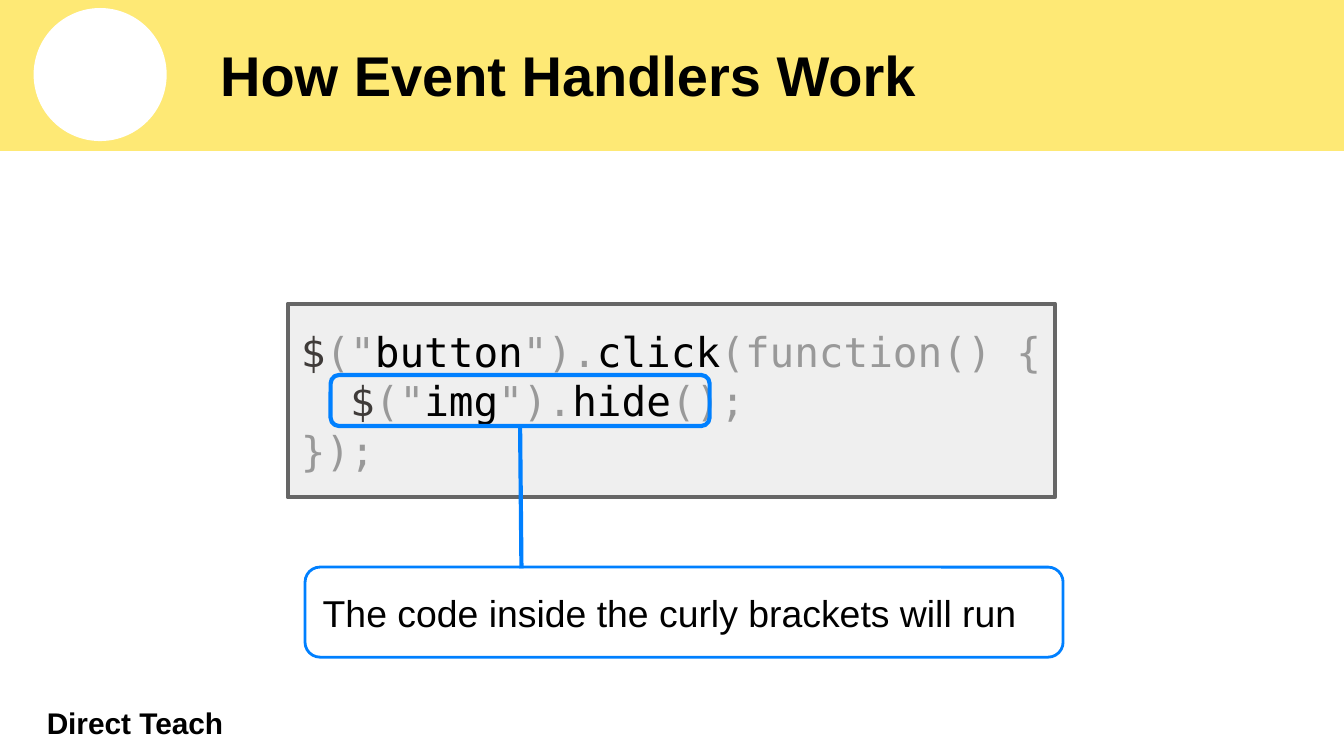
from pptx import Presentation, util as u
from pptx.dml.color import RGBColor
from pptx.enum import shapes, text
from pptx.oxml import ns
from lxml import etree

WIDTH = u.Inches(10)
HEIGHT = WIDTH * 9 // 16
BLUE, YELLOW, WHITE, BLACK = "0080FF", "FEE975", "FFFFFF", "000000"
DARK, GREY, PALE = "3F3B39", "999999", "CCCCCC"
SANS, MONO = "Arial", "DejaVu Sans Mono"

TITLE = [[("How Event Handlers Work", BLACK)]]
FOOTER = [[("Direct Teach", BLACK)]]
CALLOUT = [[("The code inside the curly brackets will run", BLACK)]]
CODE = [
    [("$", DARK), ('("', GREY), ("button", BLACK), ('").', GREY),
     ("click", BLACK), ("(function() {", GREY)],
    [("  ", PALE), ("$", DARK), ('("', GREY), ("img", BLACK), ('").', GREY),
     ("hide", BLACK), ("();", GREY)],
    [("});", GREY)],
]

deck = Presentation()
deck.slide_width, deck.slide_height = WIDTH, HEIGHT
page = deck.slides.add_slide(deck.slide_layouts[6])
kinds = shapes.MSO_SHAPE


def color(value):
    return RGBColor.from_string(value)


def add_box(kind, area, fill=None, line=None, width=0.75):
    box = page.shapes.add_shape(kind, *map(u.Inches, area))
    box.shadow.inherit = False
    if fill:
        box.fill.solid()
        box.fill.fore_color.rgb = color(fill)
    else:
        box.fill.background()
    if line:
        box.line.color.rgb = color(line)
        box.line.width = u.Pt(width)
    else:
        box.line.fill.background()
    return box


def write(box, lines, size, font=SANS, bold=False):
    frame = box.text_frame
    frame.word_wrap = True
    frame.vertical_anchor = text.MSO_ANCHOR.MIDDLE
    frame.margin_left = frame.margin_right = u.Inches(0.1)
    frame.margin_top = frame.margin_bottom = u.Inches(0.1)
    for index, line in enumerate(lines):
        para = frame.add_paragraph() if index else frame.paragraphs[0]
        para.alignment = text.PP_ALIGN.LEFT
        for words, shade in line:
            span = para.add_run()
            span.text = words
            span.font.name = font
            span.font.size = u.Pt(size)
            span.font.bold = bold
            span.font.color.rgb = color(shade)


def add_label(area, lines, size):
    box = page.shapes.add_textbox(*map(u.Inches, area))
    write(box, lines, size, bold=True)


add_box(kinds.RECTANGLE, (0, -0.01, 10, 1.13), YELLOW, YELLOW)
add_box(kinds.OVAL, (0.25, 0.06, 0.99, 0.99), WHITE)
add_label((0.25, 5.25, 3, 0.25), FOOTER, 16)
add_label((1.54, 0.06, 8.2, 0.99), TITLE, 30)

code = add_box(kinds.RECTANGLE, (2.14, 2.26, 5.71, 1.44), "EFEFEF", "666666", 2.25)
write(code, CODE, 22, MONO)
callout = add_box(kinds.ROUNDED_RECTANGLE, (2.27, 4.22, 5.64, 0.67), WHITE, BLUE, 1.5)
write(callout, CALLOUT, 20)
highlight = add_box(kinds.ROUNDED_RECTANGLE, (2.46, 2.79, 2.82, 0.38), None, BLUE, 2.25)

pointer = page.shapes.add_connector(
    shapes.MSO_CONNECTOR.STRAIGHT,
    *map(u.Inches, (3.87, 3.17, 3.88, 4.23)))
pointer.begin_connect(highlight, 2)
pointer.line.color.rgb = color(BLUE)
pointer.line.width = u.Pt(2.25)
etree.SubElement(pointer._element.spPr, ns.qn("a:effectLst"))

deck.save("out.pptx")
